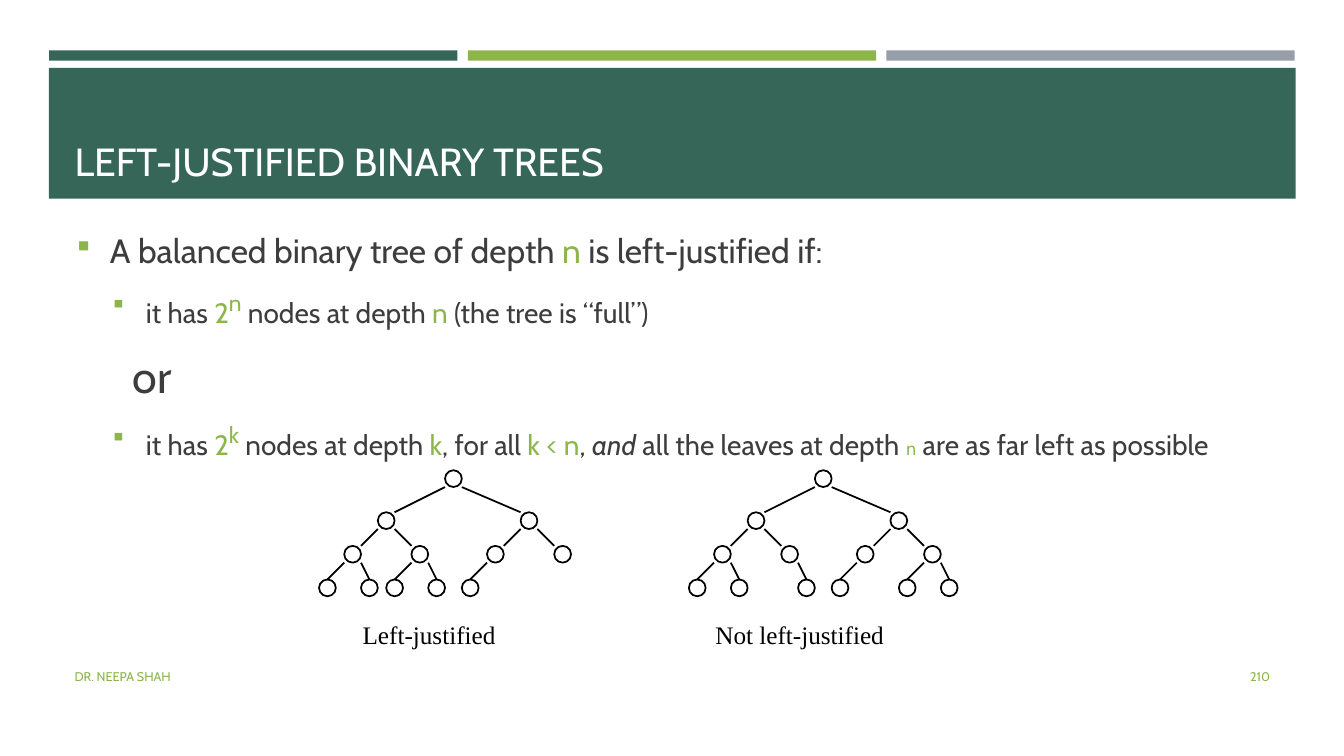
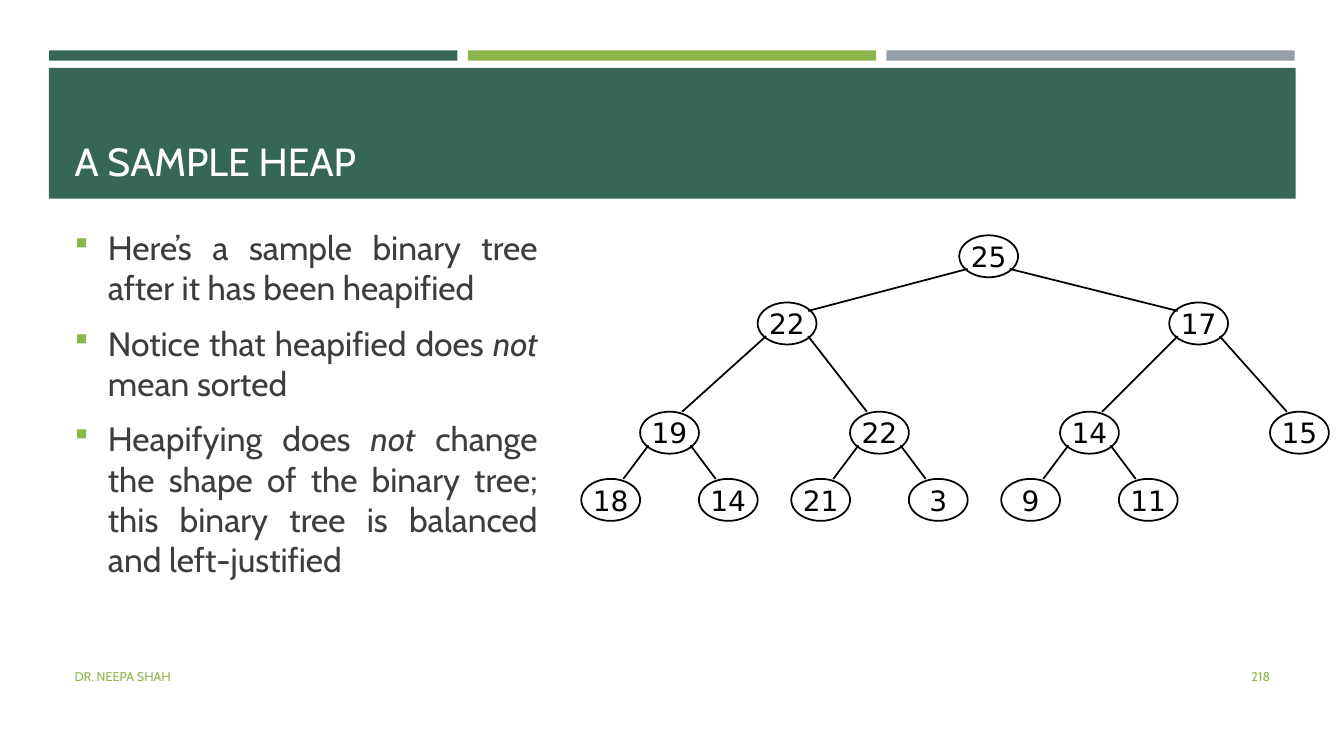
from lxml.etree import SubElement as Sub
from pptx import Presentation as Deck
from pptx.dml.color import RGBColor as RGB
from pptx.enum.shapes import MSO_CONNECTOR as WIRE, MSO_SHAPE as FORM
from pptx.enum.text import MSO_ANCHOR as ANCHOR, PP_ALIGN as ALIGN
from pptx.oxml.ns import qn
from pptx.util import Cm, Pt

PINE = RGB(0x36, 0x66, 0x58)
LIME = RGB(0x8C, 0xB6, 0x4A)
STEEL = RGB(0x96, 0x9F, 0xA7)
INK = RGB(0x3D, 0x3D, 0x3D)
BLACK = RGB(0, 0, 0)
WHITE = RGB(255, 255, 255)

SANS, SERIF, PLAIN = "Cabin", "Times New Roman", "DejaVu Sans"
UNIT = Cm(2.54) / 12  # grid step of the trees

# Run formats
KEY = {"color": LIME}
POWER = {"color": LIME, "size": 28, "raised": True}
TILT = {"italic": True}


# Text
def mark(para, left, hang):
    """Indent a paragraph, with a square bullet if it hangs."""
    props = para._p.get_or_add_pPr()
    props.set("marL", str(left))
    props.set("indent", str(-hang))
    if hang:
        tint = Sub(Sub(props, qn("a:buClr")), qn("a:srgbClr"))
        tint.set("val", str(LIME))
        Sub(props, qn("a:buSzPct")).set("val", "92000")
        Sub(props, qn("a:buFont")).set("typeface", "Wingdings")
        Sub(props, qn("a:buChar")).set("char", "§")


def write(frame, runs, size=24, color=INK, font=SANS, align=ALIGN.LEFT,
          left=0, hang=0, level=0, after=0):
    """Add one paragraph; runs is a string or a list of strings and
    (string, format) pairs."""
    first = not frame.paragraphs[0].runs
    para = frame.paragraphs[0] if first else frame.add_paragraph()
    para.level, para.alignment = level, align
    para.space_before = Pt(0 if first else size / 5)
    para.space_after = Pt(after)
    mark(para, left, hang)
    for part in [runs] if isinstance(runs, str) else runs:
        words, look = (part, {}) if isinstance(part, str) else part
        run = para.add_run()
        run.text = words
        run.font.size = Pt(look.get("size", size))
        run.font.name = look.get("font", font)
        run.font.color.rgb = look.get("color", color)
        if look.get("italic"):
            run.font.italic = True
        if look.get("raised"):
            run._r.get_or_add_rPr().set("baseline", "30000")


def panel(shapes, box, anchor=ANCHOR.TOP):
    frame = shapes.add_textbox(*map(Cm, box)).text_frame
    frame.word_wrap = True
    frame.vertical_anchor = anchor
    return frame


# Shared slide parts
def block(shapes, box, color):
    shape = shapes.add_shape(FORM.RECTANGLE, *map(Cm, box))
    shape.shadow.inherit = False
    shape.fill.solid()
    shape.fill.fore_color.rgb = color
    shape.line.fill.background()


def base(deck, title, number):
    """Start a slide with its bands, title and footer."""
    shapes = deck.slides.add_slide(deck.slide_layouts[6]).shapes
    for i, color in enumerate((PINE, LIME, STEEL)):
        block(shapes, (1.24 + 10.55 * i, 1.27, 10.29, 0.26), color)
    block(shapes, (1.23, 1.71, 31.42, 3.3), PINE)
    write(panel(shapes, (1.63, 1.96, 30.63, 2.82), ANCHOR.BOTTOM),
          title, size=28, color=WHITE)
    write(panel(shapes, (1.63, 16.54, 19.2, 1.02), ANCHOR.MIDDLE),
          "DR. NEEPA SHAH", size=9, color=LIME)
    write(panel(shapes, (29.34, 16.54, 2.92, 1.02), ANCHOR.MIDDLE),
          number, size=9, color=LIME, align=ALIGN.RIGHT)
    return shapes


# Trees
def tree(shapes, left, top, nodes, rows, size, inset, joins):
    """Draw a binary tree on the grid.

    nodes maps heap index to (column, label); rows gives the top of each
    depth; inset moves an edge in from the parent's lower corner, and joins
    holds (inset, drop) from the child's upper corner for each depth."""
    group = shapes.add_group_shape().shapes
    wide, high = size

    def spot(col, row):
        return round(left + col * UNIT), round(top + row * UNIT)

    for index, (col, label) in nodes.items():
        depth = index.bit_length() - 1
        row = rows[depth]
        oval = group.add_shape(FORM.OVAL, *spot(col, row),
                               round(wide * UNIT), round(high * UNIT))
        oval.shadow.inherit = False
        oval.fill.background()
        oval.line.color.rgb = BLACK
        oval.line.width = Pt(1.25)
        if label:
            frame = oval.text_frame
            frame.word_wrap = False
            frame.vertical_anchor = ANCHOR.MIDDLE
            write(frame, label, size=20, color=BLACK, font=PLAIN,
                  align=ALIGN.CENTER)
        if depth:
            stem = nodes[index // 2][0]
            foot = rows[depth - 1] + high - inset
            near, drop = joins[depth - 1]
            if index % 2:
                start, end = stem + wide - inset, col + near
            else:
                start, end = stem + inset, col + wide - near
            edge = group.add_connector(WIRE.STRAIGHT, *spot(start, foot),
                                       *spot(end, row + drop))
            edge.line.color.rgb = BLACK
            edge.line.width = Pt(1.25)
            Sub(edge._element.spPr, qn("a:effectLst"))


def sketch(shapes, left, top, leaves, label, shift):
    """Draw a small unlabelled tree with a caption below."""
    cols = {1: 15, 2: 7, 3: 24, 4: 3, 5: 11, 6: 20, 7: 28, **leaves}
    tree(shapes, Cm(left), Cm(top), {k: (col, "") for k, col in cols.items()},
         rows=(0, 5, 9, 13), size=(2, 2), inset=0,
         joins=((0, 0), (0, 0), (1, 0)))
    write(panel(shapes, (left + shift, top + 3.63, 6.78, 1.02)),
          label, size=18, color=BLACK, font=SERIF)


# Slides
def shape_slide(deck):
    shapes = base(deck, "LEFT-JUSTIFIED BINARY TREES", "210")
    body = panel(shapes, (1.68, 3.63, 30.63, 10.21), ANCHOR.MIDDLE)
    sub = {"size": 20, "left": Cm(1.75), "hang": Cm(0.84), "level": 1,
           "after": 6}
    write(body, ["A balanced binary tree of depth ", ("n", KEY),
                 " is left-justified if:"],
          left=Cm(0.84), hang=Cm(0.84), after=6)
    write(body, ["it has ", ("2", KEY), ("n", POWER), " nodes at depth ",
                 ("n", KEY), " (the tree is “full”)"], **sub)
    write(body, "or", size=32, left=Cm(1.42), level=1, after=6)
    write(body, ["it has ", ("2", KEY), ("k", POWER), " nodes at depth ",
                 ("k", KEY), ", for all ", ("k < n", KEY), ", ",
                 ("and", TILT), " all the leaves at depth ",
                 ("n", {"color": LIME, "size": 12, "font": PLAIN}),
                 " are as far left as possible"], **sub)
    sketch(shapes, 8.04, 11.85, {8: 0, 9: 5, 10: 8, 11: 13, 12: 17},
           "Left-justified", 0.85)
    sketch(shapes, 17.36, 11.85, {8: 0, 9: 5, 11: 13, 12: 17, 14: 25, 15: 30},
           "Not left-justified", 0.42)


def heap_slide(deck):
    shapes = base(deck, "A SAMPLE HEAP", "218")
    body = panel(shapes, (1.63, 5.59, 12.17, 10.21))
    for runs in (
        "Here’s a sample binary tree after it has been heapified",
        ["Notice that heapified does ", ("not", TILT), " mean sorted"],
        ["Heapifying does ", ("not", TILT), " change the shape of the binary "
         "tree; this binary tree is balanced and left-justified"],
    ):
        write(body, runs, align=ALIGN.JUSTIFY, left=Cm(0.84), hang=Cm(0.84),
              after=6)
    cols = (45, 21, 70, 7, 32, 57, 82, 0, 14, 25, 39, 50, 64)
    heap = (25, 22, 17, 19, 22, 14, 15, 18, 14, 21, 3, 9, 11)
    nodes = {i: (col, str(key))
             for i, (col, key) in enumerate(zip(cols, heap), 1)}
    tree(shapes, Cm(14.65), Cm(5.93), nodes, rows=(0, 8, 21, 29),
         size=(7, 5), inset=1, joins=((1, 1), (2, 0), (2, 0)))


def main():
    deck = Deck()
    deck.slide_width, deck.slide_height = Cm(33.87), Cm(19.05)
    shape_slide(deck)
    heap_slide(deck)
    deck.save("out.pptx")


if __name__ == "__main__":
    main()
